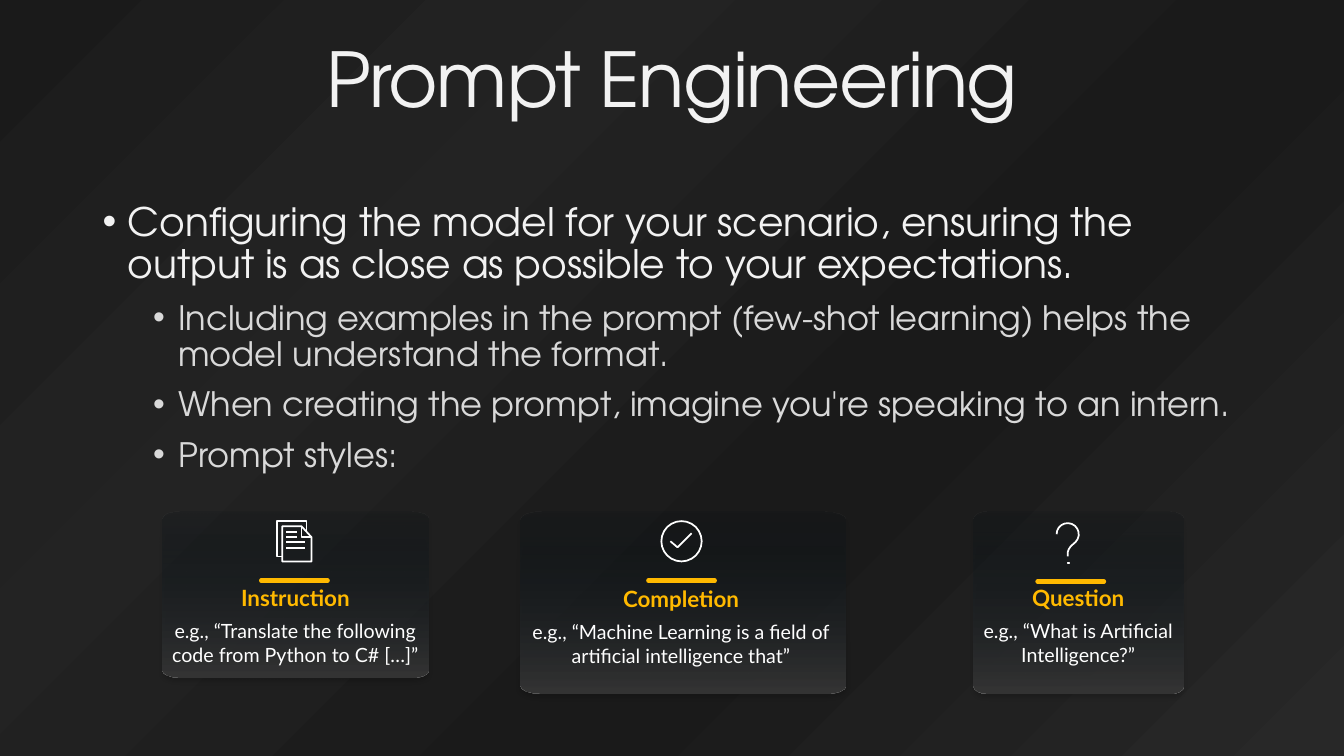
import math
import pptx
import pptx.util
import pptx.dml.color
import pptx.enum.shapes
import pptx.enum.text
import pptx.oxml.ns
import lxml.etree

Inches, Pt = pptx.util.Inches, pptx.util.Pt
qn = pptx.oxml.ns.qn

# Content
TITLE = "Prompt Engineering"
BULLETS = [
    (0, "Configuring the model for your scenario, ensuring the output is as close as possible to your expectations."),
    (1, "Including examples in the prompt (few-shot learning) helps the model understand the format."),
    (1, "When creating the prompt, imagine you're speaking to an intern."),
    (1, "Prompt styles:"),
]
COLORS = {"light": "F2F2F2", "grey": "D9D9D9", "white": "FFFFFF", "gold": "FFB900", "shadow": "000000"}
LEVELS = [dict(size=28, color="light", indent=0.25), dict(size=24, color="grey", indent=0.75)]
BACKGROUND = [(0, "1A1A1A", 100), (27, "222222", 100), (28, "232323", 100),
              (63, "1A1A1A", 100), (100, "282828", 100)]
CARD_FILL = [(0, "040F16", 10), (100, "353535", 100)]
CARD_TOP, RULE_W = 5.08, 0.66
# box: left, width, height; rule: left, top; text: left, top, width
CARDS = [
    dict(name="Instruction", example="e.g., “Translate the following code from Python to C# […]”",
         box=(1.61, 2.64, 1.64), rule=(2.59, 5.76), text=(1.61, 5.79, 2.64), icon="pages"),
    dict(name="Completion", example="e.g., “Machine Learning is a field of artificial intelligence that”",
         box=(5.16, 3.23, 1.8), rule=(6.43, 5.76), text=(5.24, 5.8, 3.03), icon="check"),
    dict(name="Question", example="e.g., “What is Artificial Intelligence?”",
         box=(9.66, 2.08, 1.8), rule=(10.29, 5.77), text=(9.56, 5.79, 2.27), icon="question"),
]


def arc(cx, cy, rx, ry, start, end, steps):
    """Points along an ellipse, in degrees clockwise from the right."""
    angles = [math.radians(start + (end - start) * i / steps) for i in range(steps + 1)]
    return [(cx + rx * math.cos(a), cy + ry * math.sin(a)) for a in angles]


# Icon strokes: lists of points on the slide
ICONS = {
    "pages": [
        [(2.8, 5.52), (2.75, 5.52), (2.75, 5.17), (3.04, 5.17), (3.04, 5.28)],
        [(2.99, 5.22), (2.99, 5.33), (3.09, 5.33)],
        [(3.09, 5.33), (2.99, 5.22), (2.8, 5.22), (2.8, 5.57), (3.09, 5.57), (3.09, 5.33)],
    ] + [[(2.84, y), (x, y)] for x, y in [(3.03, 5.44), (3.03, 5.38), (2.95, 5.33), (2.95, 5.28)]],
    "check": [arc(6.76, 5.37, 0.2, 0.2, 0, 360, 24), [(6.65, 5.37), (6.72, 5.43), (6.86, 5.29)]],
    "question": [
        arc(10.59, 5.3, 0.11, 0.11, 180, 405, 12) + [(10.62, 5.42), (10.6, 5.45), (10.59, 5.48), (10.59, 5.52)],
        [(10.59, 5.58), (10.6, 5.58), (10.6, 5.59), (10.59, 5.59), (10.59, 5.58)],
    ],
}


def rgb(name):
    return pptx.dml.color.RGBColor.from_string(COLORS[name])


def add(parent, tag, **attrs):
    return lxml.etree.SubElement(parent, qn(tag), {k: str(v) for k, v in attrs.items()})


def add_color(parent, color, alpha):
    add(add(parent, "a:srgbClr", val=color), "a:alpha", val=alpha * 1000)


def set_gradient(fill, element, stops, angle):
    fill.gradient()
    grad = element.xpath(".//a:gradFill")[0]
    for child in list(grad):
        grad.remove(child)
    gs_list = add(grad, "a:gsLst")
    for pos, color, alpha in stops:
        add_color(add(gs_list, "a:gs", pos=pos * 1000), color, alpha)
    add(grad, "a:lin", ang=angle * 60000, scaled=0)


def add_outline(s, strokes):
    # Points go in as whole EMU, since the builder rounds them
    strokes = [[(Inches(x), Inches(y)) for x, y in stroke] for stroke in strokes]
    fb = s.shapes.build_freeform(*strokes[0][0], scale=1.0)
    for i, stroke in enumerate(strokes):
        if i:
            fb.move_to(*stroke[0])
        fb.add_line_segments(stroke[1:], close=False)
    sp = fb.convert_to_shape()
    sp.shadow.inherit = False
    return sp


def add_text(s, box, margins):
    tf = s.shapes.add_textbox(*map(Inches, box)).text_frame
    tf.word_wrap = True
    for side, value in zip(("left", "top", "right", "bottom"), margins):
        setattr(tf, "margin_" + side, Inches(value))
    return tf


def add_paragraph(tf, text, font, **fmt):
    p = tf.paragraphs[0] if not tf.paragraphs[0].runs else tf.add_paragraph()
    for key, value in fmt.items():
        setattr(p, key, value)
    r = p.add_run()
    r.text = text
    color = font.pop("color")
    for key, value in font.items():
        setattr(r.font, key, value)
    r.font.color.rgb = rgb(color)
    return p


def add_card(s, card):
    # Panel with stretched round corners
    x, w, h = card["box"]
    rx, ry = 0.065 * w, 0.045 * h
    left, right, top, bottom = x + rx, x + w - rx, CARD_TOP + ry, CARD_TOP + h - ry
    corners = [(left, top, 180), (right, top, 270), (right, bottom, 0), (left, bottom, 90)]
    outline = [pt for cx, cy, a in corners for pt in arc(cx, cy, rx, ry, a, a + 90, 4)]
    sp = add_outline(s, [outline + outline[:1]])
    set_gradient(sp.fill, sp.element, CARD_FILL, 90)
    sp.line.fill.background()
    effects = sp.element.spPr.find(qn("a:effectLst"))
    shadow = add(effects, "a:outerShdw", blurRad=Pt(3), dist=Pt(3), dir=90 * 60000, rotWithShape=0)
    add_color(shadow, COLORS["shadow"], 15)

    # Icon
    icon = add_outline(s, ICONS[card["icon"]])
    icon.fill.background()
    icon.line.color.rgb, icon.line.width = rgb("white"), Pt(1.25)

    # Gold rule
    x, y = card["rule"]
    rule = s.shapes.add_connector(pptx.enum.shapes.MSO_CONNECTOR.STRAIGHT,
                                  Inches(x), Inches(y), Inches(x + RULE_W), Inches(y))
    rule.line.color.rgb, rule.line.width = rgb("gold"), Pt(3)
    rule.line._get_or_add_ln().set("cap", "rnd")
    add(rule._element.spPr, "a:effectLst")

    # Name and example
    x, y, w = card["text"]
    tf = add_text(s, (x, y, w, 0.82), (0, 0, 0, 0))
    for text, size, color, bold in [(card["name"], 16, "gold", True), (card["example"], 14, "white", False)]:
        add_paragraph(tf, text, dict(name="Lato", size=Pt(size), bold=bold, color=color),
                      alignment=pptx.enum.text.PP_ALIGN.CENTER, space_after=Pt(6))


def main():
    prs = pptx.Presentation()
    prs.slide_width, prs.slide_height = Inches(13.33), Inches(7.5)
    s = prs.slides.add_slide(prs.slide_layouts[6])
    set_gradient(s.background.fill, s.element, BACKGROUND, 45)

    # Title
    tf = add_text(s, (0.5, 0.32, 12.33, 0.98), (0, 0.1, 0, 0.1))
    p = add_paragraph(tf, TITLE, dict(name="TeX Gyre Adventor", size=Pt(54), color="light"),
                      alignment=pptx.enum.text.PP_ALIGN.CENTER, line_spacing=0.9)
    p.runs[0].font._element.set("spc", "-100")

    # Bullets
    tf = add_text(s, (0.92, 1.96, 11.5, 4.76), (0.1, 0.05, 0.1, 0.05))
    for level, text in BULLETS:
        look = LEVELS[level]
        p = add_paragraph(tf, text, dict(name="TeX Gyre Adventor", size=Pt(look["size"]), color=look["color"]),
                          level=level, line_spacing=0.9, space_before=Pt(10))
        pPr = p._p.get_or_add_pPr()
        pPr.set("marL", str(Inches(look["indent"])))
        pPr.set("indent", str(Inches(-0.25)))
        add(pPr, "a:buFont", typeface="Arial")
        add(pPr, "a:buChar", char="•")

    # Prompt style cards
    for card in CARDS:
        add_card(s, card)
    prs.save("out.pptx")


if __name__ == "__main__":
    main()
